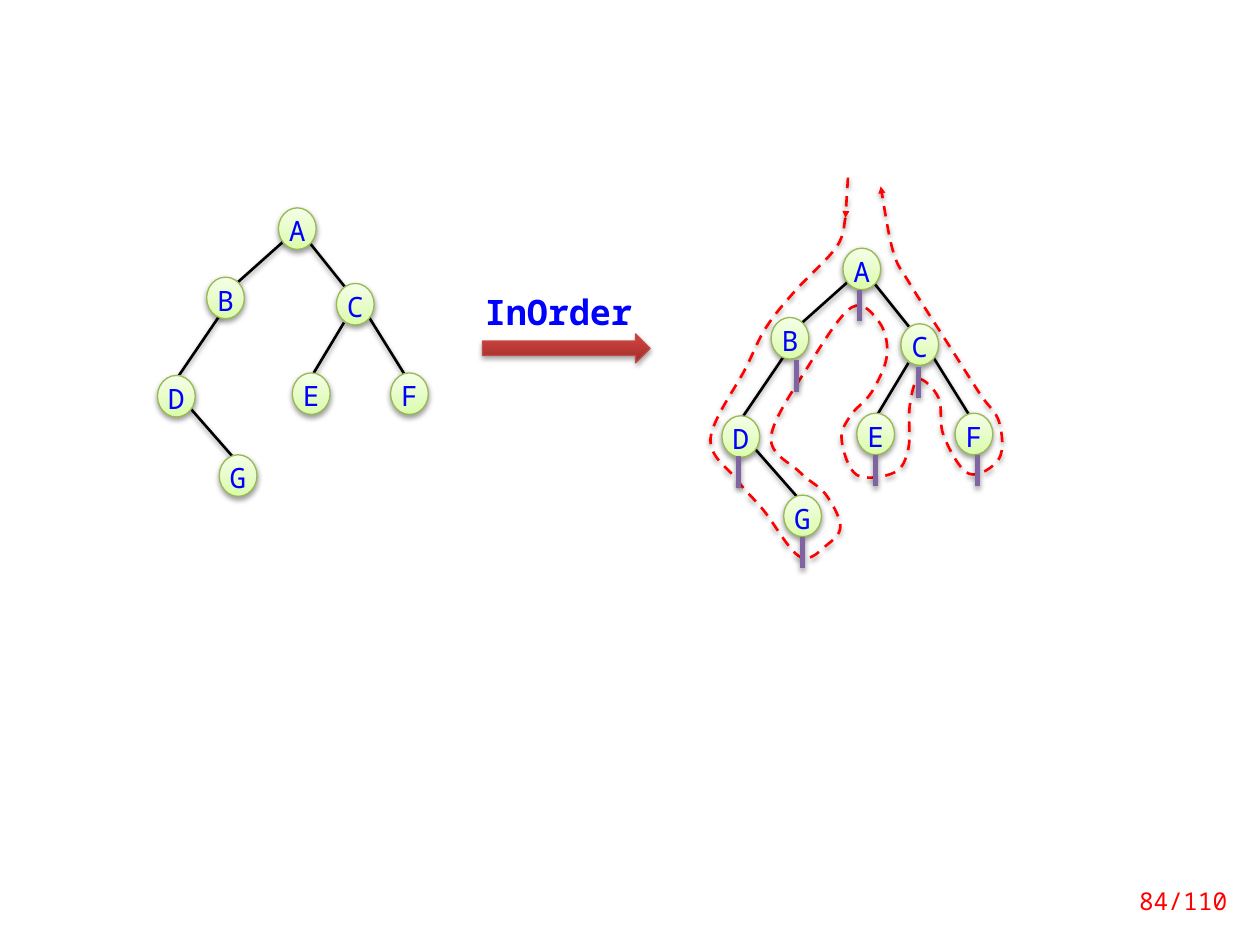
from lxml.etree import SubElement
from pptx import Presentation
from pptx.dml.color import RGBColor
from pptx.enum.dml import MSO_LINE as Dash
from pptx.enum.shapes import MSO_CONNECTOR as Link, MSO_SHAPE as Shape
from pptx.enum.text import MSO_ANCHOR as Anchor, MSO_AUTO_SIZE as Fit, PP_ALIGN as Align
from pptx.oxml.ns import qn
from pptx.util import Inches, Pt

FONT = "Noto Sans Mono"
NODE_W, NODE_H = 0.3, 0.33
VISIT_LENGTH = 0.25
TREE_SHIFTS = [(0, 0), (4.48, 0.32)]

NODES = {
    "A": (2.21, 1.65), "B": (1.64, 2.2), "C": (2.67, 2.25), "E": (2.32, 2.96),
    "F": (3.1, 2.96), "D": (1.25, 2.98), "G": (1.74, 3.61),
}
EDGES = [
    ((2.73, 2.56), (2.49, 2.96)),
    ((1.51, 3.24), (1.87, 3.65)),
    ((2.93, 2.52), (3.21, 2.97)),
    ((1.76, 2.48), (1.42, 2.98)),
    ((2.38, 1.8), (1.82, 2.3)),
    ((2.46, 1.93), (2.74, 2.28)),
]
VISITS = [(6.82, 2.3), (6.32, 2.86), (5.86, 3.62), (6.37, 4.26),
          (6.95, 3.61), (7.76, 3.61), (7.29, 2.91)]
ENTRY = ((6.73, 1.41), (6.71, 1.73))
WALK = [
    (6.71, 1.73), (6.64, 1.96), (6.31, 2.31), (6.08, 2.6), (5.92, 2.92),
    (5.64, 3.48), (5.85, 3.81), (6.06, 4.05), (6.35, 4.42), (6.57, 4.32),
    (6.67, 4.17), (6.55, 3.92), (6.35, 3.75), (6.12, 3.47), (6.42, 2.9),
    (6.76, 2.44), (6.98, 2.56), (7.04, 2.82), (6.92, 3.11), (6.75, 3.3),
    (6.68, 3.49), (6.8, 3.77), (7.1, 3.75), (7.21, 3.56), (7.22, 3.23),
    (7.29, 3.01), (7.45, 3.16), (7.49, 3.46), (7.69, 3.76), (7.93, 3.64),
    (7.93, 3.35), (7.78, 3.13), (7.55, 2.77), (7.22, 2.25), (7.09, 2),
    (6.99, 1.48),
]

EDGE_LINE = {"color": "000000", "width": 1.5}
VISIT_LINE = {"color": "8064A2", "width": 3}
WALK_LINE = {"color": "FF0000", "width": 1.5, "dash": Dash.DASH, "arrow": True}
NODE_LINE = {"color": "98B955", "width": 0.75}
ARROW_LINE = {"color": "BF4C48", "width": 0.75}
NODE_FILL = [(0, "DAFDA7"), (35, "E4FCC2"), (100, "F5FFE7")]
ARROW_FILL = [(0, "9C2F2D"), (80, "CB3E3A"), (100, "CE3B37")]
NODE_FRAME = {"margin_left": 0, "margin_top": 0, "margin_right": 0,
              "margin_bottom": 0, "vertical_anchor": Anchor.TOP, "word_wrap": True}
TITLE_FRAME = {"word_wrap": True, "auto_size": Fit.SHAPE_TO_FIT_TEXT}
PAGE_FRAME = {"word_wrap": True, "vertical_anchor": Anchor.MIDDLE}


def color(hex_value):
    return RGBColor.from_string(hex_value)


def child(parent, tag, **attributes):
    return SubElement(parent, qn(tag), {k: str(v) for k, v in attributes.items()})


def add_shadow(part, opacity=38, distance=1.6):
    effects = child(part._element.spPr, "a:effectLst")
    shadow = child(effects, "a:outerShdw", blurRad=Pt(3.1), dist=Pt(distance),
                   dir=90 * 60000, rotWithShape=0)
    child(child(shadow, "a:srgbClr", val="000000"), "a:alpha", val=opacity * 1000)


def style_line(part, look):
    part.line.color.rgb = color(look["color"])
    part.line.width = Pt(look["width"])
    if "dash" in look:
        part.line.dash_style = look["dash"]
    if "arrow" in look:
        outline = part._element.spPr.find(qn("a:ln"))
        child(outline, "a:tailEnd", type="triangle", w="sm", len="sm")


def set_gradient(part, stops):
    properties = part._element.spPr
    gradient = child(properties, "a:gradFill", rotWithShape=1)
    properties.find(qn("a:prstGeom")).addnext(gradient)
    stop_list = child(gradient, "a:gsLst")
    for position, hex_value in stops:
        stop = child(stop_list, "a:gs", pos=position * 1000)
        child(stop, "a:srgbClr", val=hex_value)
    child(gradient, "a:lin", ang=270 * 60000, scaled=0)


def write(part, text, frame_format, size, hex_value, bold=False, align=Align.LEFT):
    frame = part.text_frame
    for key, value in frame_format.items():
        setattr(frame, key, value)
    paragraph = frame.paragraphs[0]
    paragraph.alignment = align
    run = paragraph.add_run()
    run.text = text
    for key, value in {"name": FONT, "size": Pt(size), "bold": bold}.items():
        setattr(run.font, key, value)
    run.font.color.rgb = color(hex_value)


def add_solid(shapes, kind, box, stops, look, **shadow):
    solid = shapes.add_shape(kind, *map(Inches, box))
    set_gradient(solid, stops)
    style_line(solid, look)
    add_shadow(solid, **shadow)
    return solid


def add_line(shapes, start, end, look):
    line = shapes.add_connector(Link.STRAIGHT, *map(Inches, (*start, *end)))
    style_line(line, look)
    add_shadow(line)


def add_tree(shapes, dx, dy):
    for edge in EDGES:
        start, end = [(x + dx, y + dy) for x, y in edge]
        add_line(shapes, start, end, EDGE_LINE)
    for letter, (x, y) in NODES.items():
        node = add_solid(shapes, Shape.OVAL, (x + dx, y + dy, NODE_W, NODE_H),
                         NODE_FILL, NODE_LINE)
        write(node, letter, NODE_FRAME, 16, "0000FF", align=Align.CENTER)


def smooth_points(anchors):
    padded = [anchors[0], *anchors, anchors[-1]]
    for before, start, end, after in zip(padded, padded[1:], padded[2:], padded[3:]):
        yield tuple(s + (e - b) / 6 for b, s, e in zip(before, start, end))
        yield tuple(e - (a - s) / 6 for s, e, a in zip(start, end, after))
        yield end


def add_walk(shapes):
    anchors = [(Inches(x), Inches(y)) for x, y in WALK]
    builder = shapes.build_freeform(*anchors[0])
    builder.add_line_segments(list(smooth_points(anchors)), close=False)
    walk = builder.convert_to_shape()
    outline = next(walk._element.iter(qn("a:path")))
    segments = outline.findall(qn("a:lnTo"))
    for first in range(0, len(segments), 3):
        curve = child(outline, "a:cubicBezTo")
        for segment in segments[first:first + 3]:
            curve.append(segment[0])
            outline.remove(segment)
    walk.fill.background()
    style_line(walk, WALK_LINE)
    add_shadow(walk)


def main():
    deck = Presentation()
    deck.slide_width, deck.slide_height = Inches(10), Inches(7.5)
    shapes = deck.slides.add_slide(deck.slide_layouts[6]).shapes

    plain_tree = shapes.add_group_shape().shapes
    add_tree(plain_tree, *TREE_SHIFTS[0])

    add_solid(shapes, Shape.RIGHT_ARROW, (3.83, 2.65, 1.33, 0.23),
              ARROW_FILL, ARROW_LINE, opacity=35, distance=1.8)
    title = shapes.add_textbox(*map(Inches, (3.75, 2.26, 1.48, 0.44)))
    write(title, "InOrder", TITLE_FRAME, 20, "0000FF", bold=True)

    walked_tree = shapes.add_group_shape().shapes
    add_tree(walked_tree, *TREE_SHIFTS[1])
    add_walk(walked_tree)
    add_line(walked_tree, *ENTRY, WALK_LINE)
    for x, y in VISITS:
        add_line(walked_tree, (x, y), (x, y + VISIT_LENGTH), VISIT_LINE)

    page = shapes.add_textbox(*map(Inches, (8.7, 6.95, 1.14, 0.4)))
    write(page, "84/110", PAGE_FRAME, 14, "FF0000", align=Align.RIGHT)
    deck.save("out.pptx")


if __name__ == "__main__":
    main()
